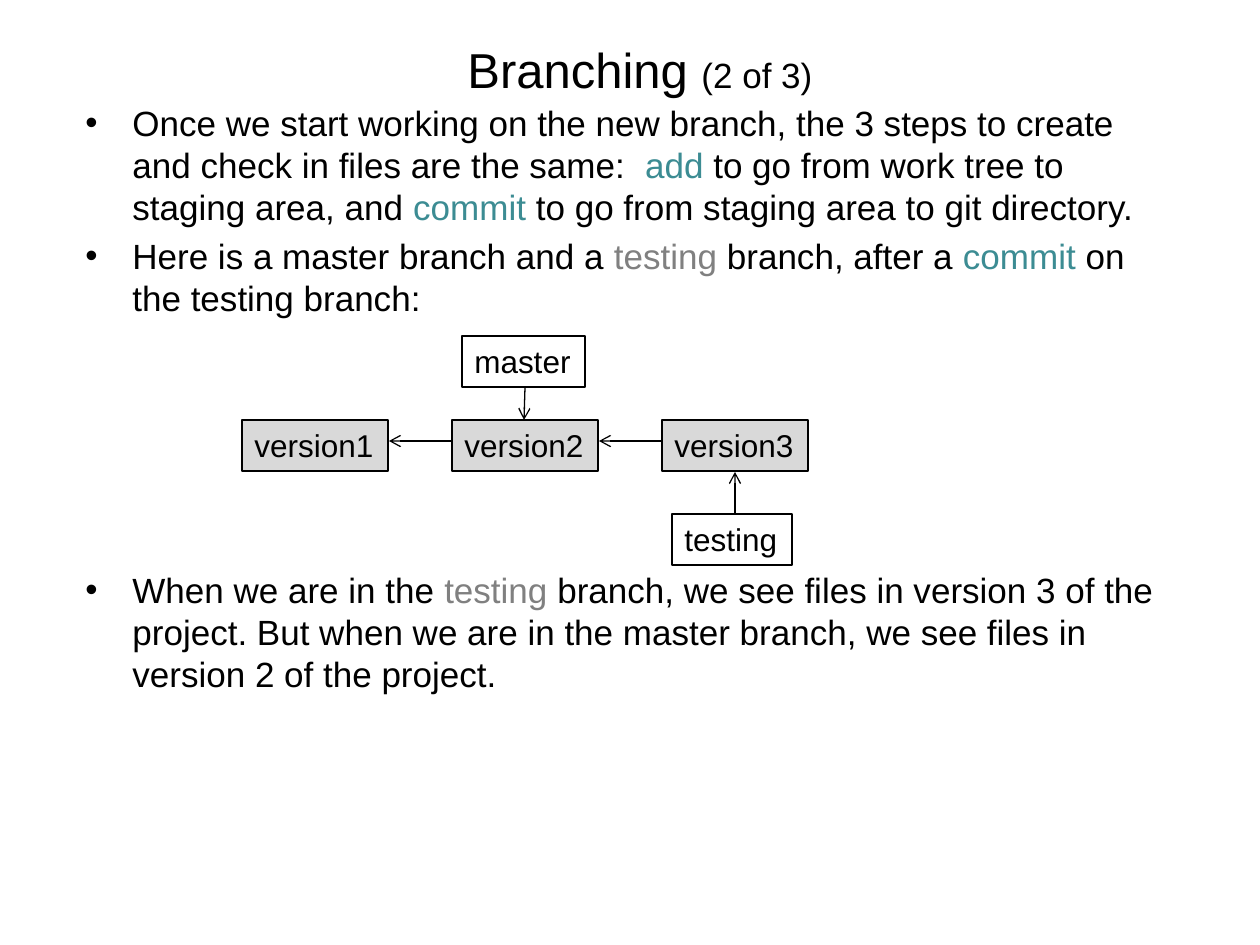
from lxml import etree
from pptx import Presentation, util as u
from pptx.dml.color import RGBColor
from pptx.enum import shapes, text
from pptx.oxml import ns

PX = 914400 / 126
BLACK, TEAL, GRAY, SILVER = "000000", "3C8C93", "808080", "D9D9D9"
KEYWORDS = {"add": TEAL, "commit": TEAL, "testing": GRAY}
BULLETS = [
    (0, ["Once we start working on the new branch, the 3 steps to create and check in files are the same:  ",
         "add", " to go from work tree to staging area, and ", "commit",
         " to go from staging area to git directory."]),
    (4, ["Here is a master branch and a ", "testing", " branch, after a ", "commit",
         " on the testing branch:"]),
    (143, ["When we are in the ", "testing",
           " branch, we see files in version 3 of the project. But when we are in the master branch, "
           "we see files in version 2 of the project."]),
]


def px(*lengths):
    """Turn pixel lengths into EMU."""
    return [u.Emu(round(length * PX)) for length in lengths]


def color(value):
    """Turn a hex string into a colour."""
    return RGBColor.from_string(value)


def add_span(para, words, size, tint=BLACK):
    """Append a formatted run to a paragraph."""
    span = para.add_run()
    span.text = words
    span.font.name = "Arial"
    span.font.size = u.Pt(size)
    span.font.color.rgb = color(tint)


def add_child(parent, tag, **attributes):
    """Append a DrawingML element to a parent element."""
    return etree.SubElement(parent, ns.qn(tag), attributes)


def add_title(page, left, top, width, height):
    """Place the title with its smaller page count."""
    title = page.shapes.title
    title.left, title.top, title.width, title.height = px(left, top, width, height)
    title.text_frame.vertical_anchor = text.MSO_ANCHOR.MIDDLE
    para = title.text_frame.paragraphs[0]
    para.alignment = text.PP_ALIGN.CENTER
    add_span(para, "Branching ", 28)
    add_span(para, "(2 of 3)", 20)


def add_bullets(page, left, top, width, height):
    """Place the bulleted text, leaving a gap for the diagram."""
    frame = page.shapes.add_textbox(*px(left, top, width, height)).text_frame
    frame.word_wrap = True
    for index, (gap, pieces) in enumerate(BULLETS):
        para = frame.add_paragraph() if index else frame.paragraphs[0]
        para.space_before = u.Pt(gap)
        para.line_spacing = u.Pt(24)
        properties = para._p.get_or_add_pPr()
        indent = px(47)[0]
        properties.set("marL", str(indent))
        properties.set("indent", str(-indent))
        add_child(properties, "a:buFont", typeface="Arial")
        add_child(properties, "a:buChar", char="•")
        for piece in pieces:
            add_span(para, piece, 20, KEYWORDS.get(piece, BLACK))


def add_label(page, words, left, top, width, height, fill=None):
    """Place one outlined label of the diagram."""
    box = page.shapes.add_shape(shapes.MSO_SHAPE.RECTANGLE, *px(left, top, width, height))
    box.shadow.inherit = False
    if fill:
        box.fill.solid()
        box.fill.fore_color.rgb = color(fill)
    else:
        box.fill.background()
    box.line.color.rgb = color(BLACK)
    box.line.width = u.Pt(0.75)
    frame = box.text_frame
    frame.word_wrap = False
    frame.auto_size = text.MSO_AUTO_SIZE.SHAPE_TO_FIT_TEXT
    frame.vertical_anchor = text.MSO_ANCHOR.TOP
    frame.paragraphs[0].alignment = text.PP_ALIGN.LEFT
    add_span(frame.paragraphs[0], words, 18)


def add_arrow(page, *ends):
    """Draw an arrow from its first point to its second."""
    arrow = page.shapes.add_connector(shapes.MSO_CONNECTOR.STRAIGHT, *px(*ends))
    arrow.line.color.rgb = color(BLACK)
    arrow.line.width = u.Pt(0.75)
    add_child(arrow.line._get_or_add_ln(), "a:tailEnd", type="arrow")
    add_child(arrow._element.spPr, "a:effectLst")


def add_diagram(page, left, top):
    """Place the version chain and its two branch labels."""
    step, width, height = 210, 146, 51
    row = top + 84
    for index in range(3):
        start = left + index * step
        add_label(page, f"version{index + 1}", start, row, width, height, SILVER)
        if index:
            add_arrow(page, start, row + 21, start - step + width + 1, row + 21)
    add_label(page, "master", left + 220, top, 123, height)
    add_arrow(page, left + 283, top + 52, left + 282, row)
    add_label(page, "testing", left + 430, top + 178, 120, height)
    add_arrow(page, left + 493, top + 178, left + 493, top + 136)


def main():
    """Build the slide and save it."""
    deck = Presentation()
    deck.slide_width, deck.slide_height = px(1260, 945)
    page = deck.slides.add_slide(deck.slide_layouts[5])
    add_title(page, 73, 32, 1134, 73)
    add_bullets(page, 73, 95, 1113, 756)
    add_diagram(page, 242, 336)
    deck.save("out.pptx")


if __name__ == "__main__":
    main()
